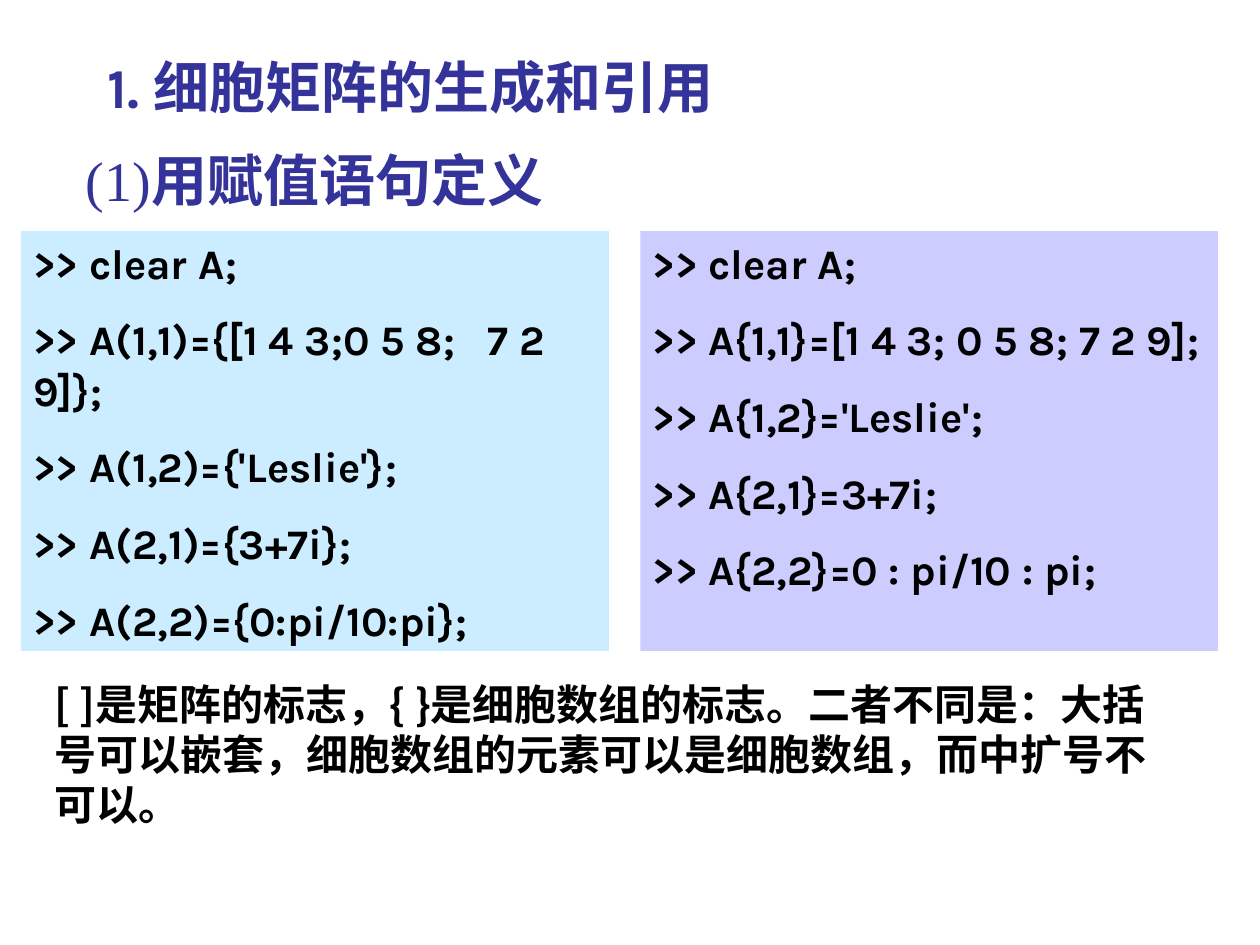
from pptx import Presentation
from pptx.dml.color import RGBColor
from pptx.enum.shapes import MSO_SHAPE
from pptx.enum.text import MSO_ANCHOR, MSO_AUTO_SIZE, PP_ALIGN
from pptx.oxml.ns import qn
from pptx.util import Inches, Pt

RECTANGLE = MSO_SHAPE.RECTANGLE
TOP, BOTTOM = MSO_ANCHOR.TOP, MSO_ANCHOR.BOTTOM
LEFT = PP_ALIGN.LEFT
FIXED = MSO_AUTO_SIZE.NONE
TITLE_ONLY = 5

COLORS = {"heading": "333399", "body": "000000", "sky": "CCECFF", "lilac": "CCCCFF"}
LATIN, CHINESE, SERIF = "Karla", "Noto Sans CJK SC", "Times New Roman"
UNIT = Inches(1) // 12  # the slide is a grid of 120 columns by 90 rows


def write_run(paragraph, text, *, size=24, font=LATIN, color="body", bold=True):
    """Add one formatted run; Chinese characters use the Chinese font."""
    run = paragraph.add_run()
    run.text = text
    run.font.size = Pt(size)
    run.font.name = font
    run.font.bold = bold
    run.font.color.rgb = RGBColor.from_string(COLORS[color])
    east_asian = run.font._element.makeelement(qn("a:ea"), {"typeface": CHINESE})
    run.font._element.find(qn("a:latin")).addnext(east_asian)


class Deck:
    def __init__(self):
        self.presentation = Presentation()
        self.presentation.slide_width = 120 * UNIT
        self.presentation.slide_height = 90 * UNIT
        layout = self.presentation.slide_layouts[TITLE_ONLY]
        self.slide = self.presentation.slides.add_slide(layout)

    def area(self, column, row, columns, rows):
        return [int(cells * UNIT) for cells in (column, row, columns, rows)]

    def frame(self, shape, anchor=TOP):
        frame = shape.text_frame
        frame.word_wrap = True
        frame.auto_size = FIXED
        frame.vertical_anchor = anchor
        return frame

    def title(self, text, *place):
        heading = self.slide.shapes.title
        heading.left, heading.top, heading.width, heading.height = self.area(*place)
        paragraph = self.frame(heading, BOTTOM).paragraphs[0]
        paragraph.alignment = LEFT
        write_run(paragraph, text, size=32, color="heading")

    def text(self, runs, *place, before=15, spacing=1.0, hanging=0):
        box = self.slide.shapes.add_textbox(*self.area(*place))
        paragraph = self.frame(box).paragraphs[0]
        paragraph.space_before = Pt(before)
        paragraph.line_spacing = spacing
        if hanging:
            properties = paragraph._p.get_or_add_pPr()
            properties.set("marL", str(Inches(hanging)))
            properties.set("indent", str(-Inches(hanging)))
        for words, style in runs:
            write_run(paragraph, words, **style)

    def code_panel(self, statements, fill, *place):
        panel = self.slide.shapes.add_shape(RECTANGLE, *self.area(*place))
        panel.shadow.inherit = False
        panel.fill.solid()
        panel.fill.fore_color.rgb = RGBColor.from_string(COLORS[fill])
        panel.line.fill.background()
        frame = self.frame(panel)
        for index, statement in enumerate(statements):
            paragraph = frame.add_paragraph() if index else frame.paragraphs[0]
            paragraph.alignment = LEFT
            paragraph.space_before = Pt(15)
            write_run(paragraph, f">> {statement}")


deck = Deck()

# Headings
deck.title("1. 细胞矩阵的生成和引用", 9, 4, 74, 8)
heading_style = {"size": 32, "color": "heading"}
deck.text(
    [("(1)", {**heading_style, "font": SERIF, "bold": False}),
     ("用赋值语句定义", {**heading_style, "font": SERIF})],
    7, 14, 55, 7, before=8, spacing=0.9, hanging=0.38,
)

# Two ways to assign the cells
cell_indexing = ["clear A;", "A(1,1)={[1 4 3;0 5 8;   7 2 9]};", "A(1,2)={'Leslie'};",
                 "A(2,1)={3+7i};", "A(2,2)={0:pi/10:pi};"]
content_indexing = ["clear A;", "A{1,1}=[1 4 3; 0 5 8; 7 2 9];", "A{1,2}='Leslie';",
                    "A{2,1}=3+7i;", "A{2,2}=0 : pi/10 : pi;"]
deck.code_panel(cell_indexing, "sky", 2, 22, 56, 40)
deck.code_panel(content_indexing, "lilac", 61, 22, 55, 40)

# Remark on the brackets
remark = ("[ ]是矩阵的标志，{ }是细胞数组的标志。二者不同是：大括号可以嵌套，"
          "细胞数组的元素可以是细胞数组，而中扩号不可以。")
deck.text([(remark, {"font": CHINESE})], 4, 64, 109, 15.6)

deck.presentation.save("out.pptx")
